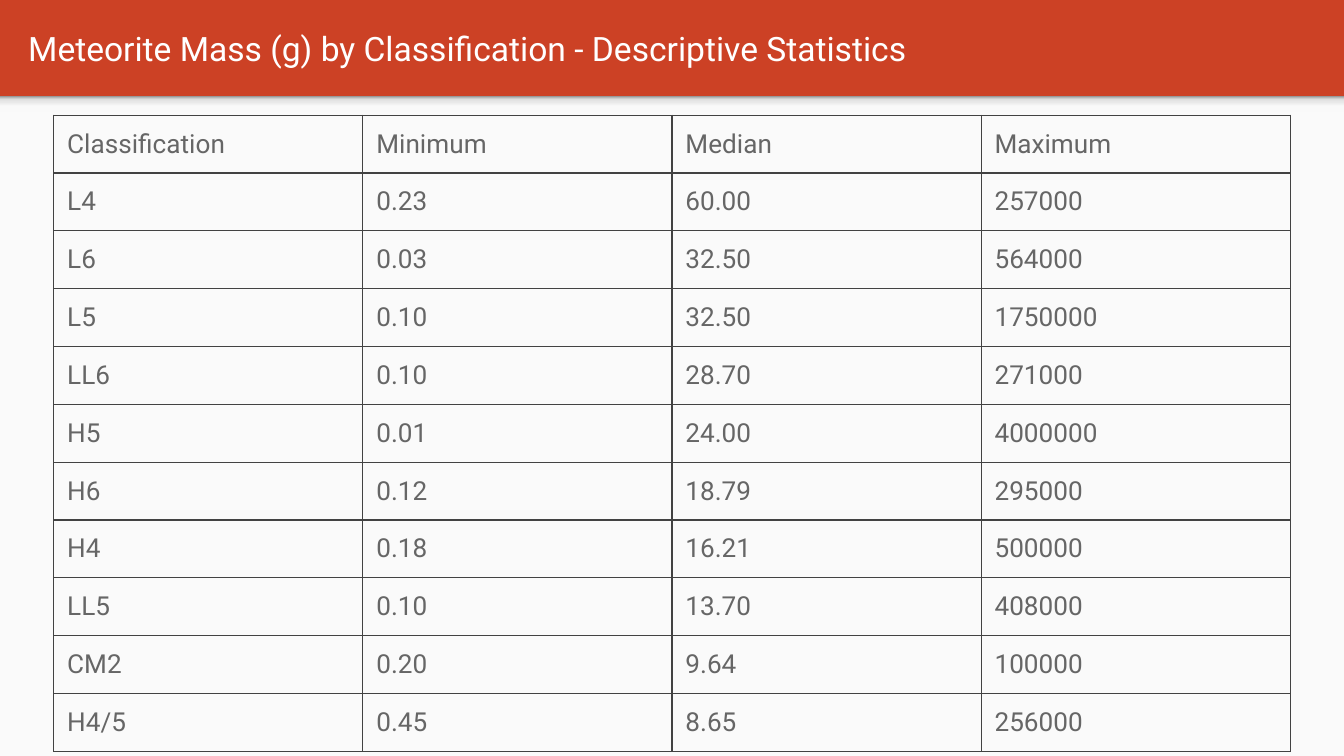
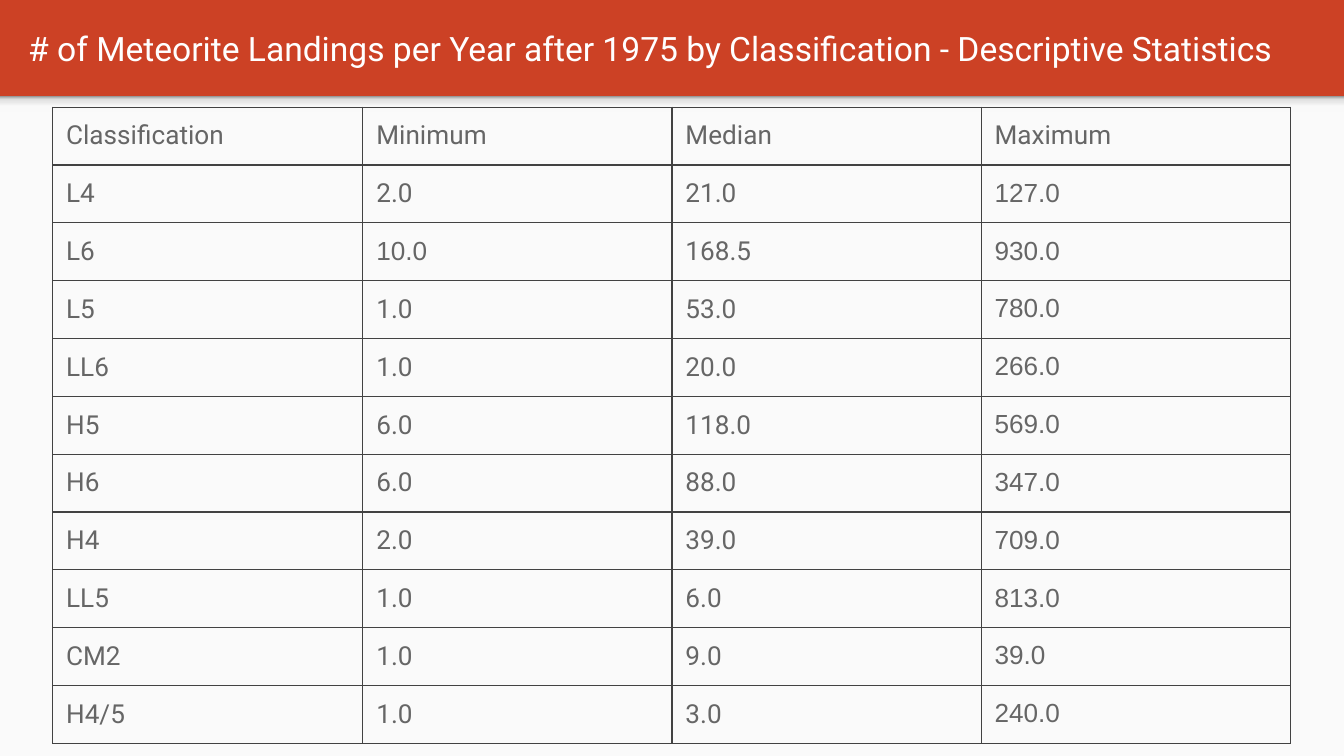
import pptx
import pptx.util
import pptx.dml.color
import pptx.enum.shapes
import pptx.enum.text
import pptx.oxml
import pptx.oxml.ns

Pt = pptx.util.Pt

# Content
HEADER = ("Classification", "Minimum", "Median", "Maximum")
SLIDES = [
    {
        "title": "Meteorite Mass (g) by Classification - Descriptive Statistics",
        "left": 28.8, "top": 61.7,
        "rows": [
            ("L4", "0.23", "60.00", "257000"),
            ("L6", "0.03", "32.50", "564000"),
            ("L5", "0.10", "32.50", "1750000"),
            ("LL6", "0.10", "28.70", "271000"),
            ("H5", "0.01", "24.00", "4000000"),
            ("H6", "0.12", "18.79", "295000"),
            ("H4", "0.18", "16.21", "500000"),
            ("LL5", "0.10", "13.70", "408000"),
            ("CM2", "0.20", "9.64", "100000"),
            ("H4/5", "0.45", "8.65", "256000"),
        ],
        "arial": set(),
    },
    {
        "title": "# of Meteorite Landings per Year after 1975 by Classification"
                 " - Descriptive Statistics",
        "left": 28.2, "top": 57.4,
        "rows": [
            ("L4", "2.0", "21.0", "127.0"),
            ("L6", "10.0", "168.5", "930.0"),
            ("L5", "1.0", "53.0", "780.0"),
            ("LL6", "1.0", "20.0", "266.0"),
            ("H5", "6.0", "118.0", "569.0"),
            ("H6", "6.0", "88.0", "347.0"),
            ("H4", "2.0", "39.0", "709.0"),
            ("LL5", "1.0", "6.0", "813.0"),
            ("CM2", "1.0", "9.0", "39.0"),
            ("H4/5", "1.0", "3.0", "240.0"),
        ],
        # (row, column) of the cells set in Arial: all maxima and one minimum
        "arial": {(r, 3) for r in range(1, 11)} | {(2, 1)},
    },
]

# Shared style
RED, PANEL, WHITE, GREY, RULE = "CC4125", "FAFAFA", "FFFFFF", "666666", "424242"
SHADE = [(0, "F9F9F9"), (36, "F9F9F9"), (80, "DEDEDE"), (100, "999999")]
WIDTH, HEIGHT, BAND = 720, 405, 51.5
TABLE_RIGHT, COL, ROW, INSET = 691.2, 165.6, 30.2, 7.2


def rgb(value):
    return pptx.dml.color.RGBColor.from_string(value)


def xml(text):
    return pptx.oxml.parse_xml(text.replace(">", f" {pptx.oxml.ns.nsdecls('a')}>", 1))


def set_font(p, size, color, name="Roboto"):
    p.font.size, p.font.name = Pt(size), name
    p.font.color.rgb = rgb(color)


def set_insets(box):
    box.margin_left = box.margin_right = Pt(INSET)
    box.margin_top = box.margin_bottom = Pt(INSET)


def add_rect(s, top, height):
    sp = s.shapes.add_shape(pptx.enum.shapes.MSO_SHAPE.RECTANGLE,
                            0, Pt(top), Pt(WIDTH), Pt(height))
    sp.shadow.inherit = False
    sp.line.fill.background()
    return sp


def add_panel(s):
    sp = add_rect(s, BAND, HEIGHT - BAND)
    sp.fill.solid()
    sp.fill.fore_color.rgb = rgb(PANEL)
    # Soft shade under the title band
    sp = add_rect(s, BAND, 8.6)
    sp.fill.gradient()
    sp.fill.gradient_angle = 90
    stops = "".join(f'<a:gs pos="{pos * 1000}"><a:srgbClr val="{color}"/></a:gs>'
                    for pos, color in SHADE)
    old = sp.element.spPr.find(".//" + pptx.oxml.ns.qn("a:gsLst"))
    old.getparent().replace(old, xml(f"<a:gsLst>{stops}</a:gsLst>"))


def set_title(s, text):
    sp = s.shapes.title
    s.shapes.element.append(sp.element)  # bring in front of the panel
    sp.left, sp.top, sp.width, sp.height = Pt(7.9), Pt(1.8), Pt(695), Pt(47.5)
    tf = sp.text_frame
    tf.text = text
    tf.word_wrap = True
    tf.auto_size = pptx.enum.text.MSO_AUTO_SIZE.NONE
    tf.vertical_anchor = pptx.enum.text.MSO_ANCHOR.MIDDLE
    set_insets(tf)
    p = tf.paragraphs[0]
    p.alignment = pptx.enum.text.PP_ALIGN.LEFT
    set_font(p, 18, WHITE)


def format_cell(cell, text, font):
    cell.text = text
    set_insets(cell)
    set_font(cell.text_frame.paragraphs[0], 14, GREY, font)
    tcPr = cell._tc.get_or_add_tcPr()
    for side in "LRTB":
        tcPr.append(xml(f'<a:ln{side} w="{Pt(0.75)}"><a:solidFill>'
                        f'<a:srgbClr val="{RULE}"/></a:solidFill></a:ln{side}>'))
    cell.fill.background()


def add_stats_table(s, data):
    rows = [HEADER] + data["rows"]
    width = TABLE_RIGHT - data["left"]
    table = s.shapes.add_table(len(rows), len(HEADER), Pt(data["left"]), Pt(data["top"]),
                               Pt(width), Pt(ROW * len(rows))).table
    table.first_row = table.horz_banding = False
    # The first column takes what the equal ones leave
    for c, column in enumerate(table.columns):
        column.width = Pt(COL if c else width - COL * (len(HEADER) - 1))
    for r, row in enumerate(rows):
        table.rows[r].height = Pt(ROW)
        for c, text in enumerate(row):
            font = "Arial" if (r, c) in data["arial"] else "Roboto"
            format_cell(table.cell(r, c), text, font)


def main():
    prs = pptx.Presentation()
    prs.slide_width, prs.slide_height = Pt(WIDTH), Pt(HEIGHT)
    fill = prs.slide_master.background.fill
    fill.solid()
    fill.fore_color.rgb = rgb(RED)
    for data in SLIDES:
        s = prs.slides.add_slide(prs.slide_layouts.get_by_name("Title Only"))
        add_panel(s)
        set_title(s, data["title"])
        add_stats_table(s, data)
    prs.save("out.pptx")


if __name__ == "__main__":
    main()
